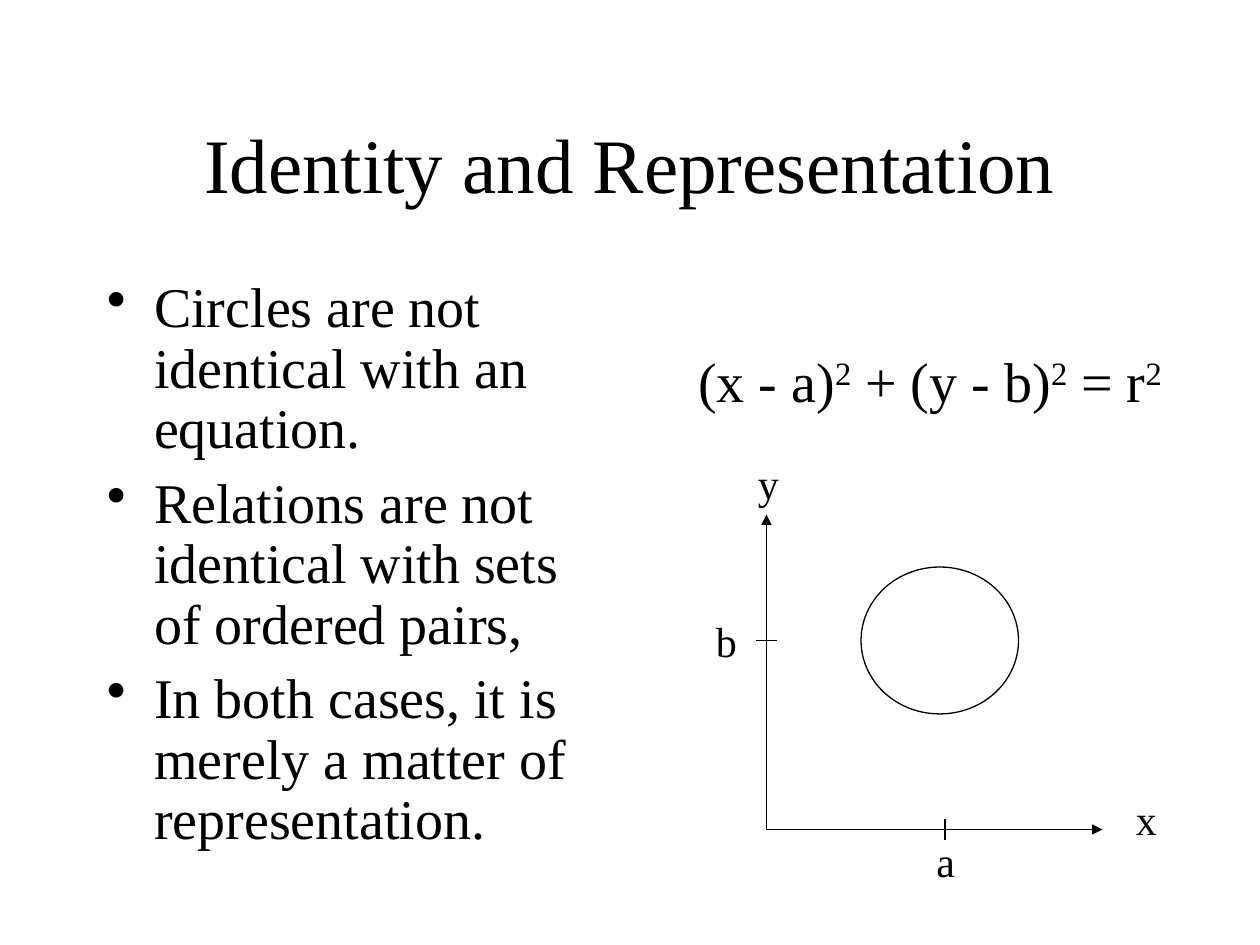
from dataclasses import dataclass

from lxml import etree
from pptx import Presentation
from pptx.dml.color import RGBColor
from pptx.enum.shapes import MSO_CONNECTOR, MSO_SHAPE
from pptx.enum.text import MSO_ANCHOR, PP_ALIGN
from pptx.oxml.ns import qn
from pptx.util import Pt

STRAIGHT = MSO_CONNECTOR.STRAIGHT
OVAL = MSO_SHAPE.OVAL
MIDDLE = MSO_ANCHOR.MIDDLE
LEFT, CENTER = PP_ALIGN.LEFT, PP_ALIGN.CENTER
TITLE_ONLY = 5
EMU_PER_PX = 7620


@dataclass(frozen=True)
class Theme:
    font: str = "Times New Roman"
    ink: RGBColor = RGBColor(0, 0, 0)
    paper: RGBColor = RGBColor(255, 255, 255)
    title_size: int = 44
    body_size: int = 32
    label_size: int = 24
    line_width: float = 0.75
    line_spacing: float = 0.9
    bullet_gap: int = 8
    bullet_indent: int = 45


THEME = Theme()

BULLETS = [
    "Circles are not identical with an equation.",
    "Relations are not identical with sets of ordered pairs,",
    "In both cases, it is merely a matter of representation.",
]
EQUATION_BASES = ["(x - a)", " + (y - b)", " = r"]
ORIGIN = (730, 790)
Y_AXIS_END = (730, 490)
X_AXIS_END = (1050, 790)
TICKS = [((720, 610), (740, 610)), ((900, 780), (900, 800))]
AXIS_LABELS = [
    ("y", 710, 430, 40),
    ("x", 1070, 750, 40),
    ("b", 670, 580, 30),
    ("a", 880, 790, 40),
]


def px(value):
    return value * EMU_PER_PX


def style_paragraph(paragraph, size, alignment=LEFT):
    paragraph.alignment = alignment
    paragraph.font.name = THEME.font
    paragraph.font.size = Pt(size)
    paragraph.font.color.rgb = THEME.ink


def add_title(slide, text, left, top, width, height):
    title = slide.shapes.title
    title.left, title.top = px(left), px(top)
    title.width, title.height = px(width), px(height)
    title.text_frame.text = text
    title.text_frame.vertical_anchor = MIDDLE
    style_paragraph(title.text_frame.paragraphs[0], THEME.title_size, CENTER)


def add_text_frame(slide, left, top, width, height):
    box = slide.shapes.add_textbox(px(left), px(top), px(width), px(height))
    box.text_frame.word_wrap = True
    return box.text_frame


def add_bullet(paragraph):
    properties = paragraph._p.get_or_add_pPr()
    properties.set("marL", str(px(THEME.bullet_indent)))
    properties.set("indent", str(-px(THEME.bullet_indent)))
    etree.SubElement(properties, qn("a:buChar")).set("char", "•")


def add_bullet_list(slide, items, left, top, width, height):
    frame = add_text_frame(slide, left, top, width, height)
    for index, item in enumerate(items):
        paragraph = frame.paragraphs[0] if index == 0 else frame.add_paragraph()
        paragraph.text = item
        add_bullet(paragraph)
        paragraph.line_spacing = THEME.line_spacing
        if index:
            paragraph.space_before = Pt(THEME.bullet_gap)
        style_paragraph(paragraph, THEME.body_size)


def add_equation(slide, bases, left, top, width, height):
    frame = add_text_frame(slide, left, top, width, height)
    frame.margin_left, frame.margin_top = px(65), px(77)
    paragraph = frame.paragraphs[0]
    for base in bases:
        paragraph.add_run().text = base
        exponent = paragraph.add_run()
        exponent.text = "2"
        exponent._r.get_or_add_rPr().set("baseline", "30000")
    paragraph.line_spacing = THEME.line_spacing
    style_paragraph(paragraph, THEME.body_size)


def add_circle(slide, left, top, width, height):
    circle = slide.shapes.add_shape(OVAL, px(left), px(top), px(width), px(height))
    circle.shadow.inherit = False
    circle.fill.solid()
    circle.fill.fore_color.rgb = THEME.paper
    circle.line.color.rgb = THEME.ink
    circle.line.width = Pt(THEME.line_width)


def add_line(slide, start, end, arrow=False):
    points = [px(value) for value in (*start, *end)]
    line = slide.shapes.add_connector(STRAIGHT, *points)
    line.line.color.rgb = THEME.ink
    line.line.width = Pt(THEME.line_width)
    if arrow:
        outline = line.line._get_or_add_ln()
        etree.SubElement(outline, qn("a:tailEnd")).set("type", "triangle")
    etree.SubElement(line._element.spPr, qn("a:effectLst"))


def add_label(slide, text, left, top, width):
    frame = add_text_frame(slide, left, top, width, 60)
    frame.text = text
    style_paragraph(frame.paragraphs[0], THEME.label_size)


def main():
    presentation = Presentation()
    presentation.slide_width, presentation.slide_height = px(1200), px(900)
    slide = presentation.slides.add_slide(presentation.slide_layouts[TITLE_ONLY])

    add_title(slide, "Identity and Representation", 90, 80, 1020, 150)
    add_bullet_list(slide, BULLETS, 90, 260, 500, 570)
    add_equation(slide, EQUATION_BASES, 600, 260, 550, 540)

    add_circle(slide, 820, 540, 150, 140)
    for axis_end in (Y_AXIS_END, X_AXIS_END):
        add_line(slide, ORIGIN, axis_end, arrow=True)
    for start, end in TICKS:
        add_line(slide, start, end)
    for label in AXIS_LABELS:
        add_label(slide, *label)

    presentation.save("out.pptx")


if __name__ == "__main__":
    main()
